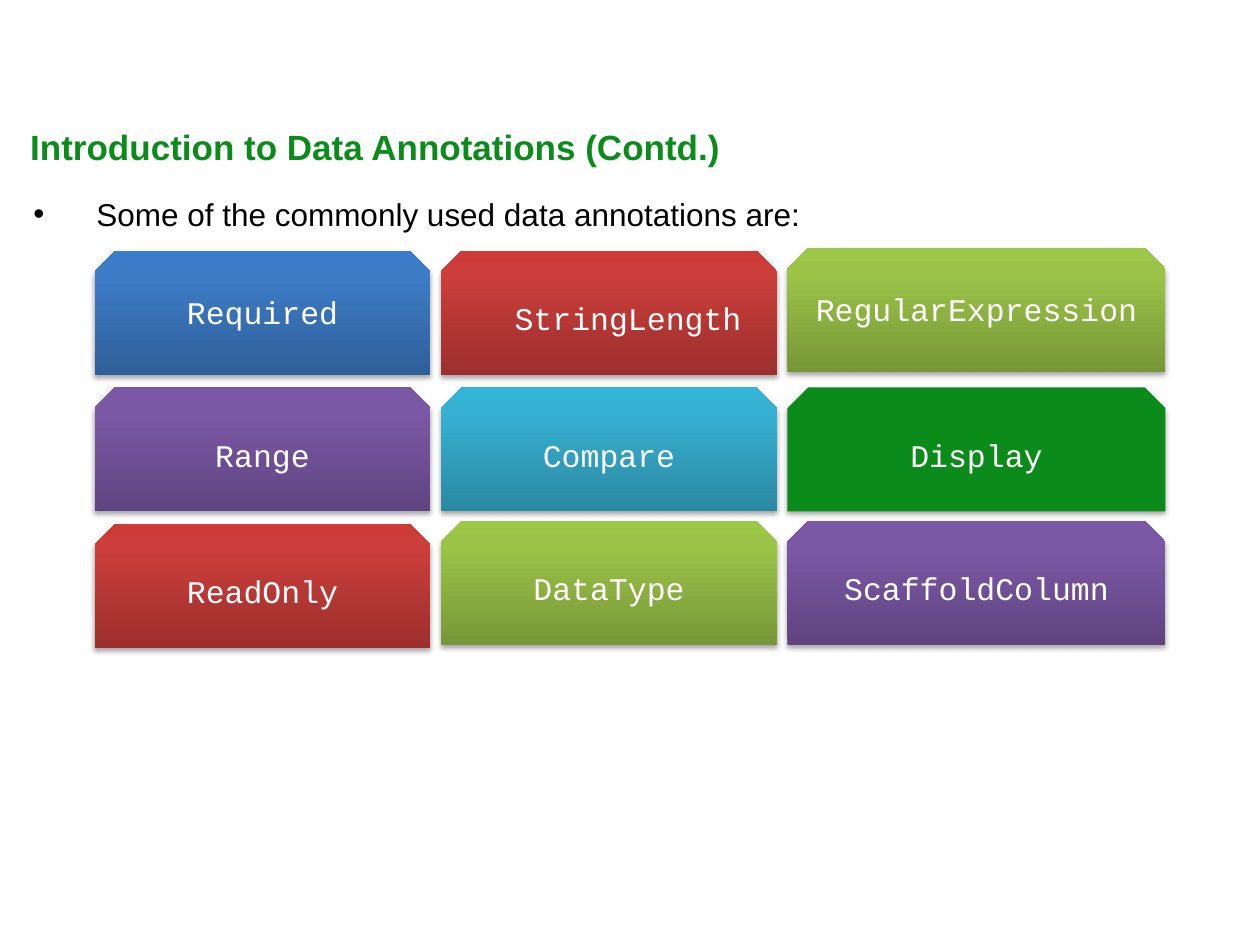
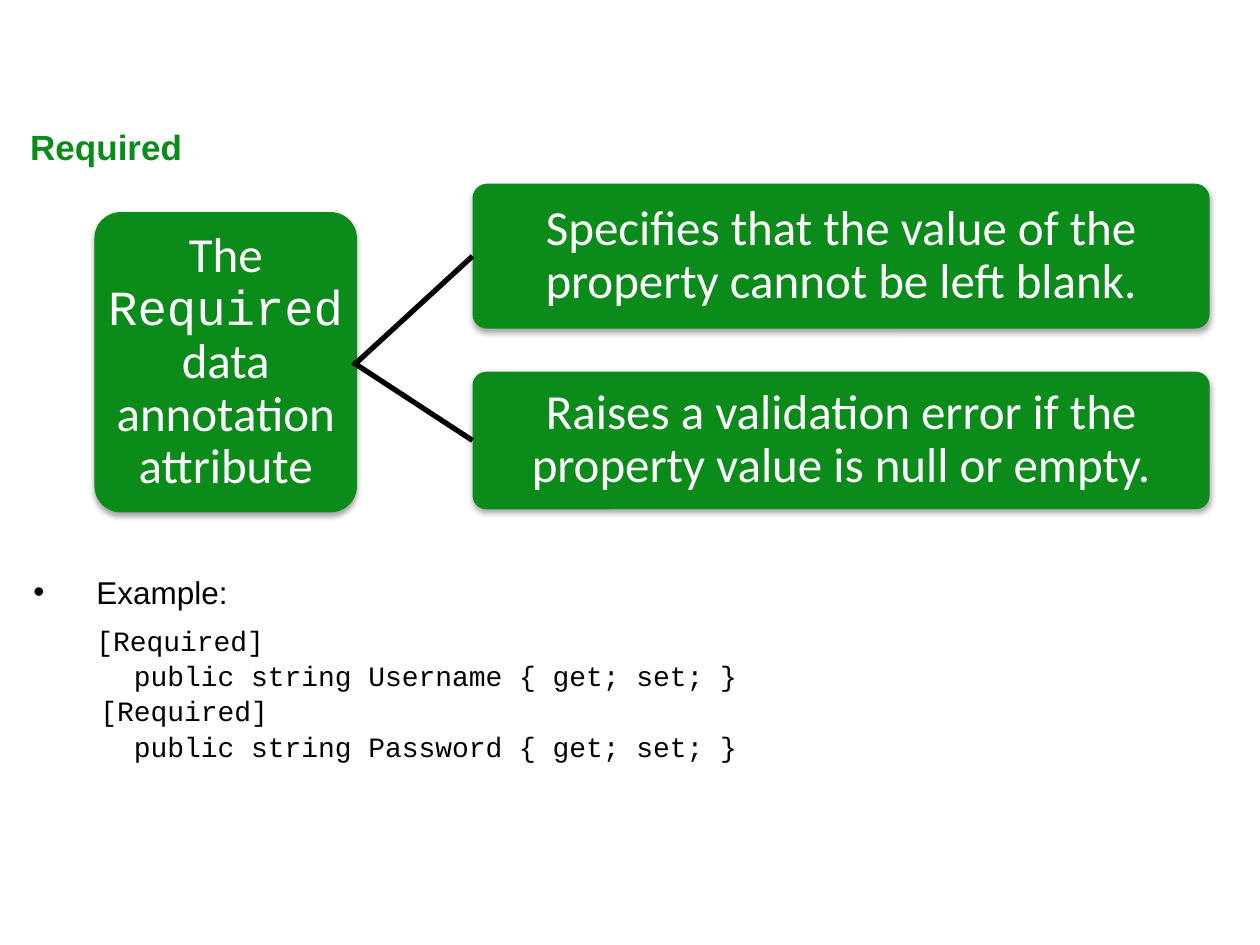
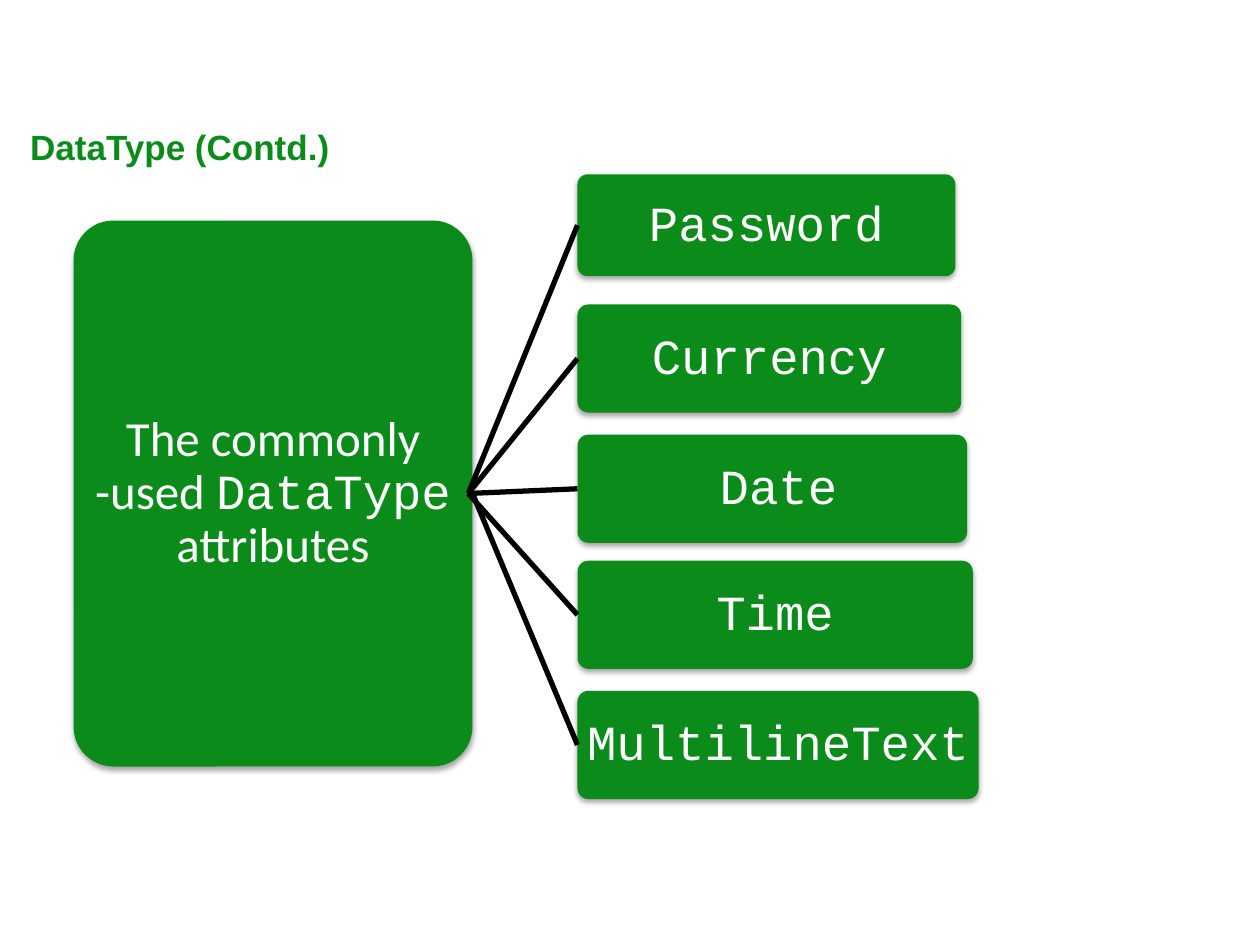
from dataclasses import dataclass
from typing import NamedTuple

from lxml.etree import SubElement
from pptx import Presentation
from pptx.dml.color import RGBColor
from pptx.enum.shapes import MSO_CONNECTOR, MSO_SHAPE
from pptx.enum.text import MSO_ANCHOR, PP_ALIGN
from pptx.oxml.ns import qn
from pptx.util import Inches, Pt

SLIDE_WIDTH, SLIDE_HEIGHT = Inches(10), Inches(7.5)
COLUMNS, ROWS = 120, 90


@dataclass(frozen=True)
class Theme:
    green: str = "0B8B1A"
    black: str = "000000"
    white: str = "FFFFFF"
    sans: str = "Arial"
    card: str = "Calibri"
    mono: str = "Courier New"
    title_size: int = 20
    body_size: int = 18
    code_size: int = 16
    card_size: int = 28
    connector_width: int = 3


THEME = Theme()
BLUE = ("2F5F99", "3D7CC7", "3A7CCB")
RED = ("9C2F2D", "CB3E3A", "CE3B37")
LIME = ("779737", "9BC348", "9DC746")
PURPLE = ("5F4480", "7B58A6", "7C57A8")
AQUA = ("2A88A2", "37B1D2", "34B4D6")
GREEN = (THEME.green,)
GRADIENT_STOPS = (0, 80000, 100000)


class Area(NamedTuple):
    column: float
    row: float
    columns: float
    rows: float

    @property
    def middle(self) -> float:
        return self.row + self.rows / 2


class Span(NamedTuple):
    text: str
    font: str = THEME.card


class Annotation(NamedTuple):
    name: str
    colours: tuple[str, ...]
    raised: float = 0
    indent: float = 0
    lift: float = 0


class Card(NamedTuple):
    area: Area
    spans: tuple[Span, ...]
    indent: float = 0
    overlap: float = 0.4


ANNOTATIONS = (
    (Annotation("Required", BLUE, lift=1.2),
     Annotation("StringLength", RED, indent=3.6),
     Annotation("RegularExpression", LIME, raised=0.25, lift=1.2)),
    (Annotation("Range", PURPLE), Annotation("Compare", AQUA), Annotation("Display", GREEN)),
    (Annotation("ReadOnly", RED),
     Annotation("DataType", LIME, raised=0.25),
     Annotation("ScaffoldColumn", PURPLE, raised=0.25)),
)
TILE_WIDTHS = (32, 32, 36)
TILE_LEFT, TILE_TOP, TILE_HEIGHT = 9, 23.9, 11.8
TILE_PITCH, ROW_PITCH = 33, 13

REQUIRED_HUB = Card(Area(9, 20.2, 25, 28.6), (
    Span("The "), Span("Required", THEME.mono), Span(" data annotation attribute")))
REQUIRED_EFFECTS = (
    Card(Area(45, 17.5, 70.2, 13.8),
         (Span("Specifies that the value of the property cannot be left blank."),), overlap=0),
    Card(Area(45, 35.4, 70.2, 13.1),
         (Span("Raises a validation error if the property value is null or empty."),)),
)
EXAMPLE_CODE = (
    "[Required]",
    "      public string Username { get; set; }",
    "    [Required]",
    "      public string Password { get; set; }",
)

DATATYPE_HUB = Card(Area(7, 21, 38, 52), (
    Span("The commonly\n-used "), Span("DataType", THEME.mono), Span(" attributes")))
DATATYPES = tuple(
    Card(Area(55, row, 36 + 0.55 * order, rows), (Span(name, THEME.mono),), indent, overlap)
    for order, (name, row, rows, indent, overlap) in enumerate((
        ("Password", 16.6, 9.7, 0, 0.4),
        ("Currency", 29, 10.3, 0, 0.4),
        ("Date", 41.4, 10.3, 1.2, 0.4),
        ("Time", 53.4, 10.3, 0, 0.4),
        ("MultilineText", 65.8, 10.3, 0, 0),
    ))
)


def across(columns: float) -> int:
    return round(SLIDE_WIDTH * columns / COLUMNS)


def down(rows: float) -> int:
    return round(SLIDE_HEIGHT * rows / ROWS)


def placed(area: Area) -> tuple[int, int, int, int]:
    return across(area.column), down(area.row), across(area.columns), down(area.rows)


def style(font, name: str | None, size: int, colour: str, bold: bool = False) -> None:
    if name:
        font.name = name
    font.size = Pt(size)
    font.bold = bold
    font.color.rgb = RGBColor.from_string(colour)


def add_text_area(slide, area: Area, wrap: bool = True):
    frame = slide.shapes.add_textbox(*placed(area)).text_frame
    frame.word_wrap = wrap
    return frame


def add_title(slide, text: str, columns: float) -> None:
    heading = add_text_area(slide, Area(1.7, 11.4, columns, 5.3), wrap=False).paragraphs[0]
    heading.text = text
    style(heading.font, THEME.sans, THEME.title_size, THEME.green, bold=True)


def add_body(slide, text: str, row: float, rows: float):
    frame = add_text_area(slide, Area(2, row, 114, rows))
    point = frame.paragraphs[0]
    point.text = text
    properties = point._p.get_or_add_pPr()
    properties.set("marL", str(Inches(0.5)))
    properties.set("indent", str(-Inches(0.5)))
    SubElement(properties, qn("a:buFont"), typeface=THEME.sans)
    SubElement(properties, qn("a:buChar"), char="•")
    style(point.font, THEME.sans, THEME.body_size, THEME.black)
    return frame


def add_code(frame, lines: tuple[str, ...]) -> None:
    for order, code in enumerate(lines):
        line = frame.add_paragraph()
        line.text = code
        line.space_before = Pt(1 if order else 7)
        if order == 0:
            line._p.get_or_add_pPr().set("marL", str(Inches(0.5)))
        style(line.font, THEME.mono, THEME.code_size, THEME.black)


def paint(shape, colours: tuple[str, ...]) -> None:
    if len(colours) == 1:
        shape.fill.solid()
        shape.fill.fore_color.rgb = RGBColor.from_string(colours[0])
        return
    shape.fill.gradient()
    shape.fill.gradient_angle = 90
    stops = shape._element.spPr.find(".//" + qn("a:gsLst"))
    for stop in list(stops):
        stops.remove(stop)
    for position, colour in zip(GRADIENT_STOPS, colours):
        stop = SubElement(stops, qn("a:gs"), pos=str(position))
        SubElement(stop, qn("a:srgbClr"), val=colour)


def add_block(slide, outline, area: Area, colours: tuple[str, ...]):
    block = slide.shapes.add_shape(outline, *placed(area))
    paint(block, colours)
    block.line.fill.background()
    block.shadow.inherit = False
    shadow = SubElement(
        block._element.spPr.find(qn("a:effectLst")), qn("a:outerShdw"),
        blurRad="40000", dist="23000", dir="5400000", rotWithShape="0")
    tint = SubElement(shadow, qn("a:srgbClr"), val=THEME.black)
    SubElement(tint, qn("a:alpha"), val="35000")
    block.text_frame.word_wrap = True
    block.text_frame.vertical_anchor = MSO_ANCHOR.MIDDLE
    block.text_frame.paragraphs[0].alignment = PP_ALIGN.CENTER
    return block


def add_annotation(slide, annotation: Annotation, row: int, column: int) -> None:
    area = Area(TILE_LEFT + column * TILE_PITCH,
                TILE_TOP + row * ROW_PITCH - annotation.raised,
                TILE_WIDTHS[column], TILE_HEIGHT)
    frame = add_block(slide, MSO_SHAPE.SNIP_2_SAME_RECTANGLE, area,
                      annotation.colours).text_frame
    frame.margin_left += across(annotation.indent)
    frame.margin_bottom += down(annotation.lift)
    label = frame.paragraphs[0]
    label.text = annotation.name
    style(label.font, THEME.mono, THEME.body_size, THEME.white)


def add_card(slide, card: Card) -> None:
    block = add_block(slide, MSO_SHAPE.ROUNDED_RECTANGLE, card.area, GREEN)
    block.adjustments[0] = 0.1
    frame = block.text_frame
    frame.margin_left = across(card.indent)
    frame.margin_right = frame.margin_top = frame.margin_bottom = 0
    statement = frame.paragraphs[0]
    statement.line_spacing = 0.9
    shared_font = card.spans[0].font if len(card.spans) == 1 else None
    style(statement.font, shared_font, THEME.card_size, THEME.white)
    for span in card.spans:
        for order, words in enumerate(span.text.split("\n")):
            if order:
                statement.add_line_break()
            run = statement.add_run()
            run.text = words
            if not shared_font:
                run.font.name = span.font


def add_branch(slide, hub: Card, leaf: Card) -> None:
    branch = slide.shapes.add_connector(
        MSO_CONNECTOR.STRAIGHT,
        across(hub.area.column + hub.area.columns - leaf.overlap), down(hub.area.middle),
        across(leaf.area.column), down(leaf.area.middle))
    branch.line.color.rgb = RGBColor.from_string(THEME.black)
    branch.line.width = Pt(THEME.connector_width)
    SubElement(branch._element.spPr, qn("a:effectLst"))


def add_tree(slide, hub: Card, leaves: tuple[Card, ...]) -> None:
    for card in (hub, *leaves):
        add_card(slide, card)
    for leaf in leaves:
        add_branch(slide, hub, leaf)


def main() -> None:
    deck = Presentation()
    deck.slide_width, deck.slide_height = SLIDE_WIDTH, SLIDE_HEIGHT
    overview, required, datatype = (
        deck.slides.add_slide(deck.slide_layouts[6]) for _ in range(3))

    add_body(overview, "Some of the commonly used data annotations are:", 18, 53)
    add_title(overview, "Introduction to Data Annotations (Contd.)", 68.6)
    for row, annotations in enumerate(ANNOTATIONS):
        for column, annotation in enumerate(annotations):
            add_annotation(overview, annotation, row, column)

    add_title(required, "Required", 17)
    add_tree(required, REQUIRED_HUB, REQUIRED_EFFECTS)
    add_code(add_body(required, "Example:", 54, 19), EXAMPLE_CODE)

    add_title(datatype, "DataType (Contd.)", 31.2)
    add_tree(datatype, DATATYPE_HUB, DATATYPES)

    deck.save("out.pptx")


if __name__ == "__main__":
    main()
